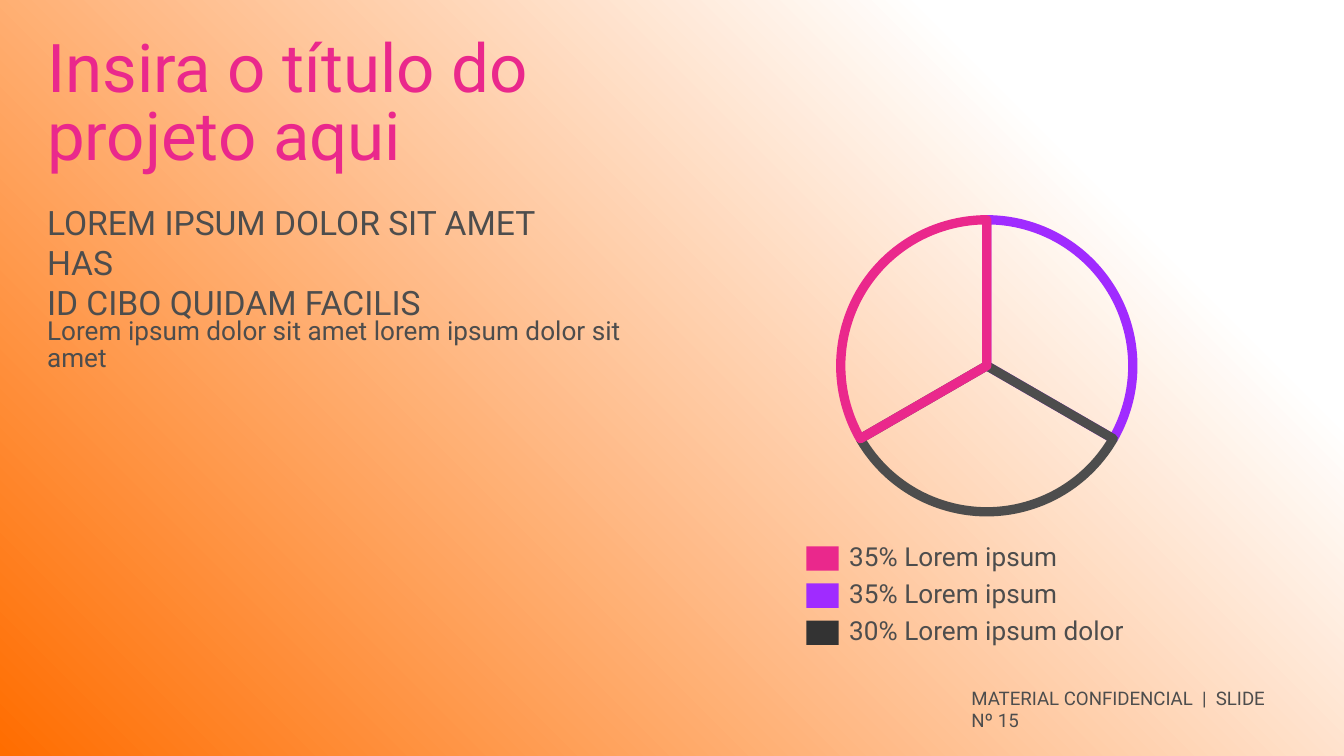
"""Build a project slide with a title, body text and a three-part ring chart."""
from lxml.etree import SubElement
from pptx import Presentation
from pptx.chart.data import CategoryChartData
from pptx.dml.color import RGBColor
from pptx.enum.chart import XL_CHART_TYPE as ChartType
from pptx.enum.shapes import MSO_SHAPE as Shape
from pptx.enum.text import MSO_ANCHOR as Anchor, MSO_AUTO_SIZE as AutoSize, PP_ALIGN as Align
from pptx.oxml.ns import qn
from pptx.util import Cm, Pt

ORANGE = RGBColor(0xFF, 0x6D, 0x00)
WHITE = RGBColor(0xFF, 0xFF, 0xFF)
PINK = RGBColor(0xEA, 0x28, 0x8C)
PURPLE = RGBColor(0xA0, 0x2B, 0xFF)
GRAY = RGBColor(0x4D, 0x4D, 0x4D)
CHARCOAL = RGBColor(0x33, 0x33, 0x33)
BLACK = RGBColor(0, 0, 0)

deck = Presentation()
deck.slide_width, deck.slide_height = Cm(25.4), Cm(14.29)
page = deck.slides.add_slide(deck.slide_layouts[5])

backdrop = page.background.fill
backdrop.gradient()
backdrop.gradient_angle = 45
for stop, color, position in zip(backdrop.gradient_stops, (ORANGE, WHITE), (0, 0.8)):
    stop.color.rgb = color
    stop.position = position


def write(text, left, top, width, height, size, color=GRAY, spacing=None, box=None):
    """Put formatted text in the given box, or in a new text box."""
    box = box or page.shapes.add_textbox(0, 0, 0, 0)
    box.left, box.top, box.width, box.height = Cm(left), Cm(top), Cm(width), Cm(height)
    frame = box.text_frame
    frame.margin_left = frame.margin_right = frame.margin_top = frame.margin_bottom = 0
    frame.word_wrap = True
    frame.auto_size = AutoSize.NONE
    frame.vertical_anchor = Anchor.TOP
    para = frame.paragraphs[0]
    para.text = text
    para.alignment = Align.LEFT
    if spacing:
        para.line_spacing = Pt(spacing)
    for span in para.runs:
        span.font.name = "Roboto"
        span.font.size = Pt(size)
        span.font.color.rgb = color


write("Insira o título do projeto aqui", 0.89, 0.74, 10.57, 2.62, 36,
      color=PINK, spacing=36, box=page.shapes.title)
write("LOREM IPSUM DOLOR SIT AMET HAS \vID CIBO QUIDAM FACILIS", 0.89, 3.81, 10.57, 1.55, 18)
write("Lorem ipsum dolor sit amet lorem ipsum dolor sit amet",
      0.89, 6.05, 11.86, 3.33, 14, spacing=14)
write("MATERIAL CONFIDENCIAL  |  SLIDE Nº 15", 18.36, 12.98, 5.92, 0.76, 10)

chart_data = CategoryChartData()
chart_data.categories = ["1", "2", "3"]
chart_data.add_series("Series 1", (33, 33, 33))
chart = page.shapes.add_chart(
    ChartType.PIE, Cm(13.72), Cm(3.76), Cm(9.86), Cm(6.25), chart_data).chart
chart.has_title = False
chart.has_legend = False
chart.font.name = "Calibri"
chart.font.size = Pt(18)
chart.font.color.rgb = BLACK
pie = chart.plots[0]
pie.vary_by_categories = False
for index, color in enumerate((PURPLE, GRAY, PINK)):
    slice_format = pie.series[0].points[index].format
    slice_format.fill.background()
    slice_format.line.color.rgb = color
    slice_format.line.width = Pt(5)

plot_area = chart.element.find(".//" + qn("c:plotArea"))
layout = plot_area.find(qn("c:layout"))
if layout is None:
    layout = SubElement(plot_area, qn("c:layout"))
    plot_area.insert(0, layout)
manual = SubElement(layout, qn("c:manualLayout"))
for tag, value in (("layoutTarget", "inner"), ("xMode", "edge"), ("yMode", "edge"),
                   ("x", "0.22"), ("y", "0.06"), ("w", "0.56"), ("h", "0.89")):
    SubElement(manual, qn("c:" + tag)).set("val", value)

legend = (("35% Lorem ipsum", PINK), ("35% Lorem ipsum", PURPLE),
          ("30% Lorem ipsum dolor", CHARCOAL))
for row, (label, color) in enumerate(legend):
    top = 10.33 + 0.7 * row
    swatch = page.shapes.add_shape(Shape.RECTANGLE, Cm(15.24), Cm(top), Cm(0.61), Cm(0.46))
    swatch.shadow.inherit = False
    swatch.fill.solid()
    swatch.fill.fore_color.rgb = color
    swatch.line.fill.background()
    write(label, 16.05, top - 0.02, 11.43, 0.64, 14, spacing=14)

deck.save("out.pptx")
